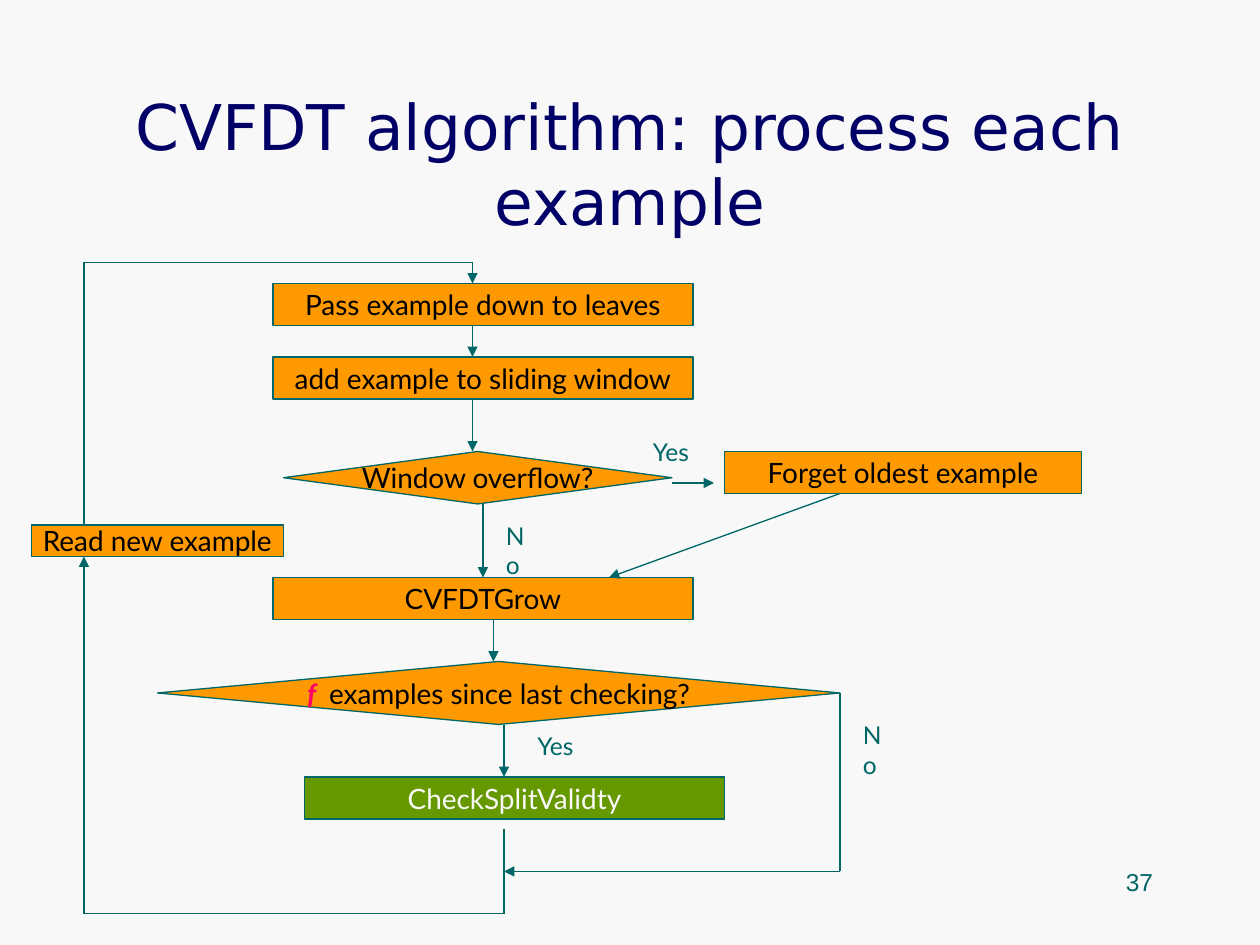
import pptx
import pptx.dml.color
import pptx.enum.shapes
import pptx.enum.text
import pptx.oxml
import pptx.oxml.ns
import pptx.util

SCALE = 7620  # EMU per px, 120 px to the inch
COLORS = {
    "background": "F8F8F8",
    "title": "000066",
    "teal": "006666",
    "orange": "FF9900",
    "green": "669900",
    "black": "000000",
    "pink": "FF0066",
}
ALIGN = pptx.enum.text.PP_ALIGN
ANCHOR = pptx.enum.text.MSO_ANCHOR
SHAPE = pptx.enum.shapes.MSO_SHAPE


def px(*lengths):
    return [pptx.util.Emu(length * SCALE) for length in lengths]


def style_font(font, name, size, color):
    font.name = name
    font.size = pptx.util.Pt(size)
    font.color.rgb = pptx.dml.color.RGBColor.from_string(COLORS[color])


deck = pptx.Presentation()
deck.slide_width, deck.slide_height = px(1200, 900)
page = deck.slides.add_slide(deck.slide_layouts[5])
page.background.fill.solid()
page.background.fill.fore_color.rgb = pptx.dml.color.RGBColor.from_string(COLORS["background"])

# Title
title = page.shapes.title
title.left, title.top, title.width, title.height = px(90, 80, 1020, 150)
title.text_frame.text = "CVFDT algorithm: process each example"
title.text_frame.auto_size = pptx.enum.text.MSO_AUTO_SIZE.NONE
title.text_frame.vertical_anchor = ANCHOR.MIDDLE
para = title.text_frame.paragraphs[0]
para.alignment = ALIGN.CENTER
style_font(para.font, "DejaVu Sans", 36, "title")

# Steps and decisions; each text is a list of (words, color)
PROCESS, DECISION = SHAPE.FLOWCHART_PROCESS, SHAPE.FLOWCHART_DECISION
steps = [
    (PROCESS, 30, 500, 240, 30, "orange", [("Read new example", "black")]),
    (PROCESS, 260, 270, 400, 40, "orange", [("Pass example down to leaves", "black")]),
    (PROCESS, 260, 340, 400, 40, "orange", [("add example to sliding window", "black")]),
    (DECISION, 270, 430, 370, 50, "orange", [("Window overflow?", "black")]),
    (PROCESS, 690, 430, 340, 40, "orange", [("Forget oldest example", "black")]),
    (PROCESS, 260, 550, 400, 40, "orange", [("CVFDTGrow", "black")]),
    (PROCESS, 290, 740, 400, 40, "green", [("CheckSplitValidty", "background")]),
    (DECISION, 150, 630, 650, 60, "orange",
     [("f ", "pink"), (" examples since last checking?", "black")]),
]
for kind, left, top, width, height, fill, words in steps:
    step = page.shapes.add_shape(kind, *px(left, top, width, height))
    step.shadow.inherit = False
    step.fill.solid()
    step.fill.fore_color.rgb = pptx.dml.color.RGBColor.from_string(COLORS[fill])
    step.line.color.rgb = pptx.dml.color.RGBColor.from_string(COLORS["teal"])
    step.line.width = pptx.util.Pt(0.75)
    step.text_frame.word_wrap = False
    step.text_frame.vertical_anchor = ANCHOR.MIDDLE
    para = step.text_frame.paragraphs[0]
    para.alignment = ALIGN.CENTER
    for text, color in words:
        span = para.add_run()
        span.text = text
        style_font(span.font, "Lato", 16, color)
        if color == "pink":
            span.font.bold = span.font.italic = True

# Flow lines: start, end, arrowhead at the end
flows = [
    (450, 310, 450, 340, True),
    (450, 380, 450, 430, True),
    (460, 480, 460, 550, True),
    (640, 460, 680, 460, True),
    (800, 470, 580, 550, True),
    (470, 590, 470, 630, True),
    (480, 690, 480, 740, True),
    (480, 790, 480, 870, False),
    (800, 660, 800, 830, False),
    (800, 830, 480, 830, True),
    (480, 870, 80, 870, False),
    (80, 870, 80, 530, True),
    (80, 250, 80, 500, False),
    (80, 250, 450, 250, False),
    (450, 250, 450, 270, True),
]
for *ends, has_arrow in flows:
    flow = page.shapes.add_connector(pptx.enum.shapes.MSO_CONNECTOR.STRAIGHT, *px(*ends))
    flow.line.color.rgb = pptx.dml.color.RGBColor.from_string(COLORS["teal"])
    flow.line.width = pptx.util.Pt(0.75)
    if has_arrow:
        head = pptx.oxml.ns.qn("a:tailEnd")
        flow.line._get_or_add_ln().append(
            pptx.oxml.parse_xml(f'<a:tailEnd {pptx.oxml.ns.nsdecls("a")} type="triangle"/>'))
    flow._element.spPr.append(
        pptx.oxml.parse_xml(f'<a:effectLst {pptx.oxml.ns.nsdecls("a")}/>'))

# Branch labels and page number
labels = [
    ("Yes", 500, 690, 60, 40, "Lato", ALIGN.LEFT),
    ("No", 810, 680, 53, 40, "Lato", ALIGN.LEFT),
    ("No", 470, 490, 53, 40, "Lato", ALIGN.LEFT),
    ("Yes", 610, 410, 60, 40, "Lato", ALIGN.LEFT),
    ("37", 860, 820, 250, 60, "Arial", ALIGN.RIGHT),
]
for text, left, top, width, height, font_name, alignment in labels:
    box = page.shapes.add_textbox(*px(left, top, width, height))
    box.text_frame.word_wrap = True
    para = box.text_frame.paragraphs[0]
    para.text = text
    para.alignment = alignment
    style_font(para.font, font_name, 14, "teal")

deck.save("out.pptx")
